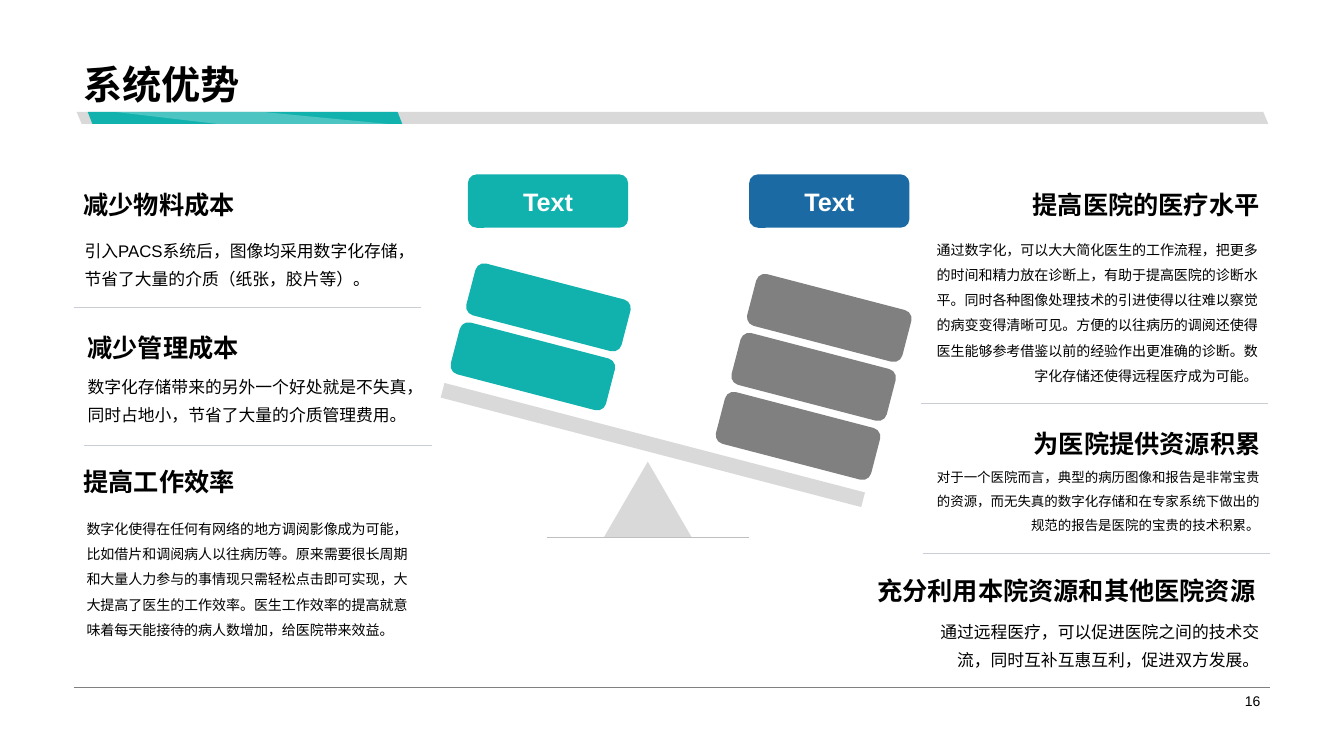
from lxml import etree
from pptx import Presentation
from pptx import util as u
from pptx.dml.color import RGBColor
from pptx.enum import lang, shapes, text
from pptx.oxml.ns import qn

TEAL = RGBColor(0x11, 0xB2, 0xAE)
BLUE = RGBColor(0x1B, 0x6A, 0xA3)
GRAY = RGBColor(0x80, 0x80, 0x80)
LIGHT = RGBColor(0xD9, 0xD9, 0xD9)
BASE = RGBColor(0xBF, 0xBF, 0xBF)
RULE = RGBColor(0xC9, 0xCE, 0xD5)
BLACK = RGBColor(0, 0, 0)
WHITE = RGBColor(0xFF, 0xFF, 0xFF)

TILT = 14.6
BLOCK_W, BLOCK_H = 3.18, 1.06
STEP_X, STEP_Y = 0.31, -1.17
TEXT_W, HEAD_H = 6.84, 0.86
LEFT, RIGHT = text.PP_ALIGN.LEFT, text.PP_ALIGN.RIGHT
SHAPE = shapes.MSO_SHAPE


class Deck:
    """Places styled elements on a slide in half-inch columns and rows."""

    CELL = u.Inches(0.5)
    FONT = "Arial"

    def __init__(self):
        self.prs = Presentation()
        self.prs.slide_width, self.prs.slide_height = u.Inches(13.33), u.Inches(7.5)
        self.s = self.prs.slides.add_slide(self.prs.slide_layouts[6])

    def grid(self, *cells):
        return [round(c * self.CELL) for c in cells]

    def paint(self, sp, color):
        sp.shadow.inherit = False
        sp.fill.solid()
        sp.fill.fore_color.rgb = color
        sp.line.fill.background()
        return sp

    def shape(self, kind, x, y, w, h, color, rotation=0, adj=None, flip=False):
        sp = self.s.shapes.add_shape(kind, *self.grid(x, y, w, h))
        sp.rotation = rotation
        if adj is not None:
            sp.adjustments[0] = adj
        if flip:
            sp._element.spPr.find(qn("a:xfrm")).set("flipH", "1")
        return self.paint(sp, color)

    def veil(self, points, color, alpha):
        start, *rest = [tuple(self.grid(*pt)) for pt in points]
        fb = self.s.shapes.build_freeform(*start)
        fb.add_line_segments(rest, close=True)
        sp = self.paint(fb.convert_to_shape(), color)
        clr = sp._element.spPr.find(qn("a:solidFill"))[0]
        etree.SubElement(clr, qn("a:alpha")).set("val", str(alpha * 1000))

    def line(self, x, y, w, color, width):
        cn = self.s.shapes.add_connector(
            shapes.MSO_CONNECTOR.STRAIGHT, *self.grid(x, y, x + w, y))
        cn.line.color.rgb = color
        cn.line.width = u.Pt(width)
        etree.SubElement(cn._element.spPr, qn("a:effectLst"))

    def fill_text(self, sp, words, size, color=BLACK, bold=False, align=LEFT,
                  anchor=text.MSO_ANCHOR.TOP, spacing=None, wrap=True):
        tf = sp.text_frame
        tf.text = words
        tf.word_wrap = wrap
        tf.vertical_anchor = anchor
        p = tf.paragraphs[0]
        p.alignment = align
        if spacing:
            p.line_spacing = spacing
        for r in p.runs:
            r.font.name, r.font.size, r.font.bold = self.FONT, u.Pt(size), bold
            r.font.color.rgb = color
            r.font.language_id = lang.MSO_LANGUAGE_ID.SIMPLIFIED_CHINESE

    def text(self, x, y, w, h, words, size, **style):
        sp = self.s.shapes.add_textbox(*self.grid(x, y, w, h))
        self.fill_text(sp, words, size, **style)

    def label(self, x, y, words, color):
        sp = self.shape(SHAPE.ROUNDED_RECTANGLE, x, y, BLOCK_W, BLOCK_H, color)
        self.fill_text(sp, words, 18, WHITE, True, text.PP_ALIGN.CENTER,
                       text.MSO_ANCHOR.MIDDLE, wrap=False)

    def stack(self, x, y, count, color):
        for i in range(count):
            self.shape(SHAPE.ROUNDED_RECTANGLE, x + i * STEP_X, y + i * STEP_Y,
                       BLOCK_W, BLOCK_H, color, TILT)


HEADINGS = [
    (1.46, 3.66, TEXT_W, LEFT, "减少物料成本"),
    (1.54, 6.5, TEXT_W, LEFT, "减少管理成本"),
    (1.46, 9.16, TEXT_W, LEFT, "提高工作效率"),
    (18.34, 3.66, TEXT_W, RIGHT, "提高医院的医疗水平"),
    (18.36, 8.4, TEXT_W, RIGHT, "为医院提供资源积累"),
    (17.1, 11.32, 8, RIGHT, "充分利用本院资源和其他医院资源"),
]
BODIES = [
    (1.48, 4.52, 1.36, LEFT, 12, 1.4,
     "引入PACS系统后，图像均采用数字化存储，节省了大量的介质（纸张，胶片等）。"),
    (1.54, 7.22, 1.36, LEFT, 12, 1.4,
     "数字化存储带来的另外一个好处就是不失真，同时占地小，节省了大量的介质管理费用。"),
    (1.52, 10.06, 3.38, LEFT, 10, 1.5,
     "数字化使得在任何有网络的地方调阅影像成为可能，比如借片和调阅病人以往病历等。"
     "原来需要很长周期和大量人力参与的事情现只需轻松点击即可实现，大大提高了医生的工作效率。"
     "医生工作效率的提高就意味着每天能接待的病人数增加，给医院带来效益。"),
    (18.3, 4.52, 3.66, RIGHT, 10, 1.5,
     "通过数字化，可以大大简化医生的工作流程，把更多的时间和精力放在诊断上，有助于提高医院的诊断水平。"
     "同时各种图像处理技术的引进使得以往难以察觉的病变变得清晰可见。"
     "方便的以往病历的调阅还使得医生能够参考借鉴以前的经验作出更准确的诊断。"
     "数字化存储还使得远程医疗成为可能。"),
    (18.34, 9.04, 2.04, RIGHT, 9.6, 1.5,
     "对于一个医院而言，典型的病历图像和报告是非常宝贵的资源，"
     "而无失真的数字化存储和在专家系统下做出的规范的报告是医院的宝贵的技术积累。"),
    (18.34, 12.08, 1.36, RIGHT, 12, 1.4,
     "通过远程医疗，可以促进医院之间的技术交流，同时互补互惠互利，促进双方发展。"),
]
DIVIDERS = [(1.46, 6.1), (1.66, 8.84), (18.26, 8), (18.3, 10.98)]


def main():
    d = Deck()
    d.shape(SHAPE.PARALLELOGRAM, 1.52, 2.22, 23.64, 0.24, LIGHT, adj=0.42, flip=True)
    d.shape(SHAPE.PARALLELOGRAM, 1.74, 2.22, 6.24, 0.24, TEAL, adj=0.39, flip=True)
    d.veil([(7.7, 2.46), (5.2, 2.22), (2.28, 2.22), (4.32, 2.46)], WHITE, 25)
    d.line(1.46, 13.64, 23.74, GRAY, 0.5)
    d.text(1.46, 0, 23.74, 2.24, "系统优势", 28, bold=True,
           anchor=text.MSO_ANCHOR.BOTTOM, spacing=0.9)
    d.text(18.84, 13.68, 6.36, 0.46, "16", 10, align=RIGHT,
           anchor=text.MSO_ANCHOR.MIDDLE)

    d.shape(SHAPE.RECTANGLE, 8.64, 8.68, 8.62, 0.3, LIGHT, TILT)
    d.stack(8.98, 6.74, 2, TEAL)
    d.stack(14.24, 8.12, 3, GRAY)
    d.shape(SHAPE.ISOSCELES_TRIANGLE, 11.98, 9.16, 1.74, 1.5, LIGHT)
    d.label(9.28, 3.46, "Text", TEAL)
    d.label(14.86, 3.46, "Text", BLUE)
    d.line(10.86, 10.66, 4, BASE, 0.5)

    for x, y, w, align, words in HEADINGS:
        d.text(x, y, w, HEAD_H, words, 18, bold=True, align=align, wrap=False)
    for x, y, h, align, size, spacing, words in BODIES:
        d.text(x, y, TEXT_W, h, words, size, align=align, spacing=spacing)
    for x, y in DIVIDERS:
        d.line(x, y, 6.9, RULE, 0.25)
    d.prs.save("out.pptx")


if __name__ == "__main__":
    main()
